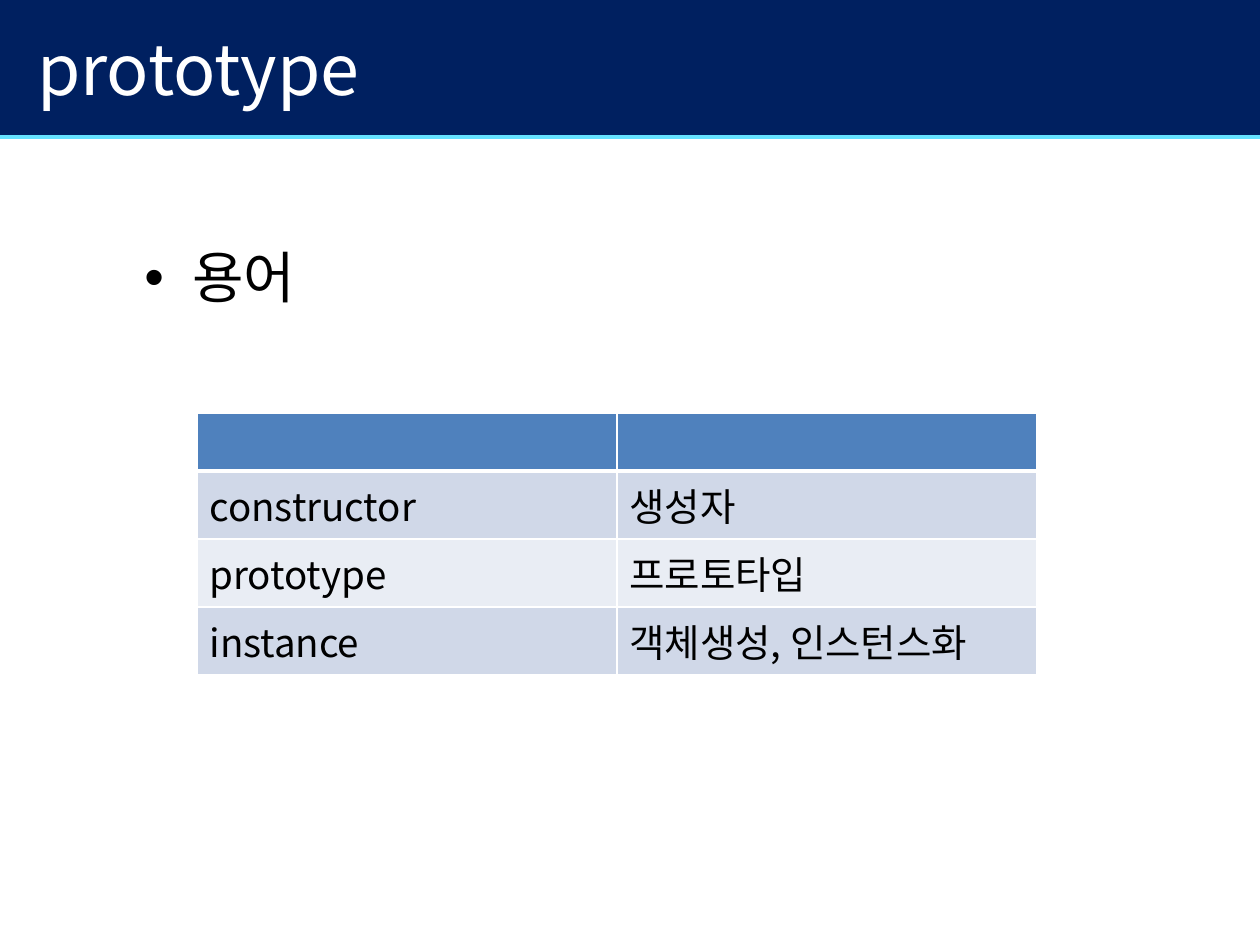
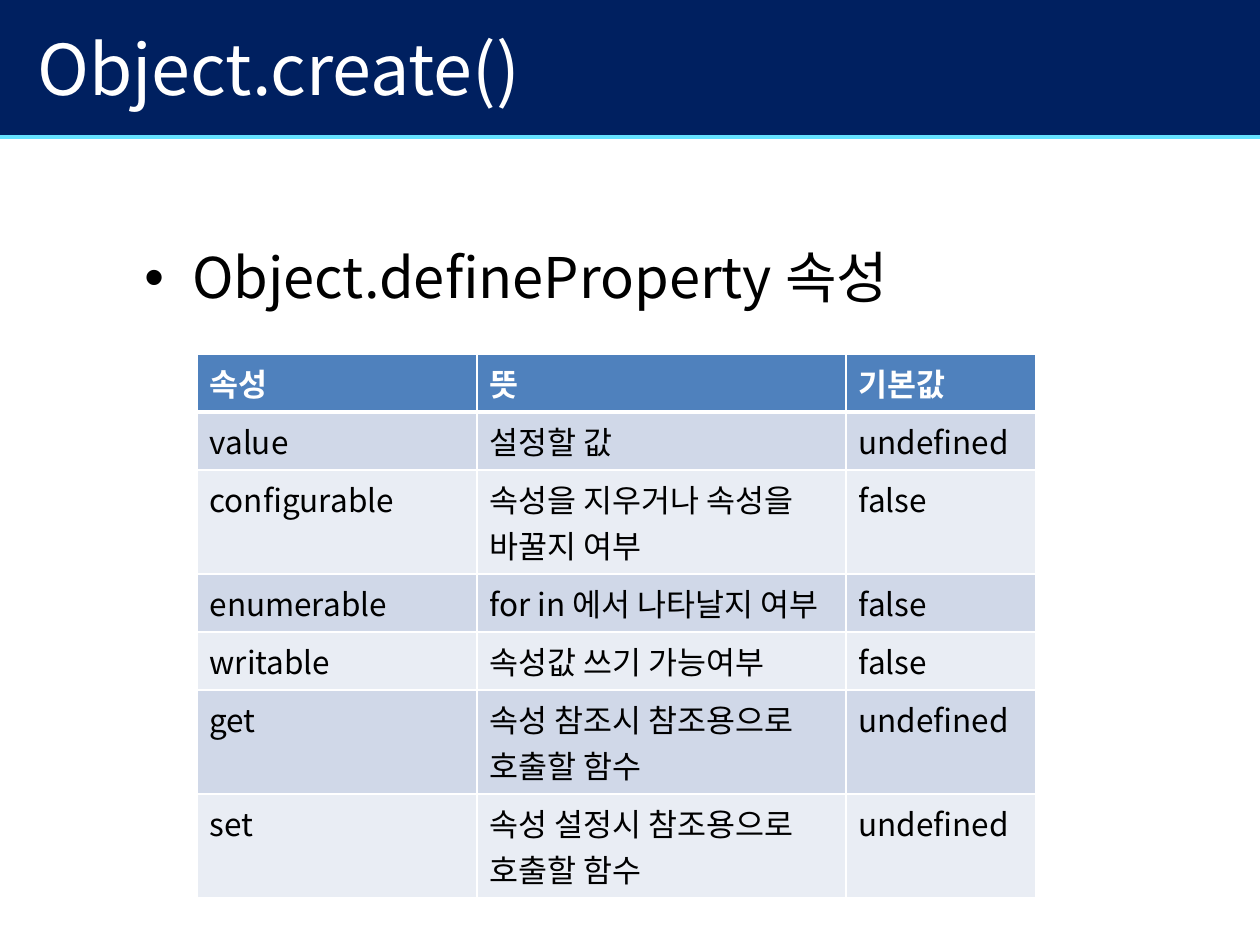
from pptx import Presentation
from pptx.dml.color import RGBColor
from pptx.enum.shapes import MSO_SHAPE
from pptx.enum.text import MSO_ANCHOR
from pptx.oxml.ns import qn
from pptx.util import Pt
from lxml import etree

SCALE = 914400 // 126
RECTANGLE = MSO_SHAPE.RECTANGLE
TOP, MIDDLE = MSO_ANCHOR.TOP, MSO_ANCHOR.MIDDLE

FONT = "Noto Sans CJK KR"
NAVY = RGBColor(0x00, 0x20, 0x60)
CYAN = RGBColor(0x65, 0xE2, 0xFF)
WHITE = RGBColor(0xFF, 0xFF, 0xFF)
BLACK = RGBColor(0x00, 0x00, 0x00)
HEADER_BLUE = RGBColor(0x4F, 0x81, 0xBD)
ROW_FILLS = (RGBColor(0xD0, 0xD8, 0xE8), RGBColor(0xE9, 0xED, 0xF4))

BAND_BOX = (-1, 0, 1261, 135)
TITLE_BOX = (25, -11, 1134, 157)
BODY_BOX = (132, 244, 995, 556)
TABLE_LEFT = 197
RULE_HEIGHT = 5
BULLET_INDENT = 48


def px(*lengths):
    """Turn pixel lengths into EMU."""
    return [round(length * SCALE) for length in lengths]


def write(frame, text, size=18, color=BLACK, bold=False, anchor=TOP):
    """Put one formatted paragraph in a text frame and return it."""
    frame.word_wrap = True
    frame.vertical_anchor = anchor
    para = frame.paragraphs[0]
    para.font.size = Pt(size)
    if text:
        span = para.add_run()
        span.text = text
        font = span.font
        font.name, font.size, font.bold = FONT, Pt(size), bold
        font.color.rgb = color
        latin = font._element.find(qn("a:latin"))
        latin.addnext(latin.makeelement(qn("a:ea"), {"typeface": FONT}))
    else:
        end = etree.SubElement(para._p, qn("a:endParaRPr"), sz=str(size * 100))
        for tag in ("a:latin", "a:ea"):
            etree.SubElement(end, qn(tag), typeface=FONT)
    return para


def add_bar(page, box, color):
    """Draw a plain filled rectangle."""
    bar = page.shapes.add_shape(RECTANGLE, *px(*box))
    bar.shadow.inherit = False
    bar.fill.solid()
    bar.fill.fore_color.rgb = color
    bar.line.fill.background()


def add_heading(page, box, title):
    """Draw the title band, the rule under it and the title."""
    left, top, width, height = box
    add_bar(page, (left, top + height - 1, width, RULE_HEIGHT), CYAN)
    add_bar(page, box, NAVY)
    frame = page.shapes.add_textbox(*px(*TITLE_BOX)).text_frame
    write(frame, title, size=40, color=WHITE, anchor=MIDDLE)


def add_bullet(page, box, text):
    """Write the bulleted line at the top of the body box."""
    frame = page.shapes.add_textbox(*px(*box)).text_frame
    para = write(frame, text, size=32)
    para.line_spacing = 0.9
    props = para._p.get_or_add_pPr()
    indent, = px(BULLET_INDENT)
    props.set("marL", str(indent))
    props.set("indent", str(-indent))
    bullet_font = props.makeelement(qn("a:buFont"), {"typeface": "Arial"})
    bullet = props.makeelement(qn("a:buChar"), {"char": "•"})
    props.find(qn("a:lnSpc")).addnext(bullet_font)
    bullet_font.addnext(bullet)


def set_borders(cell, top, bottom):
    """Give a cell white borders; top and bottom widths are in points."""
    props = cell._tc.get_or_add_tcPr()
    widths = (("a:lnL", 1), ("a:lnR", 1), ("a:lnT", top), ("a:lnB", bottom))
    for place, (tag, width) in enumerate(widths):
        line = props.makeelement(qn(tag), {"w": str(Pt(width))})
        fill = etree.SubElement(line, qn("a:solidFill"))
        etree.SubElement(fill, qn("a:srgbClr"), val=str(WHITE))
        props.insert(place, line)


def add_grid(page, top, widths, heights, rows, size):
    """Build a table with a blue header and alternating row fills."""
    box = (TABLE_LEFT, top, sum(widths), sum(heights))
    table = page.shapes.add_table(len(rows), len(widths), *px(*box)).table
    for column, width in zip(table.columns, px(*widths)):
        column.width = width
    for index, (row, height) in enumerate(zip(table.rows, px(*heights))):
        row.height = height
        header = index == 0
        for cell, text in zip(row.cells, rows[index]):
            cell.fill.solid()
            cell.fill.fore_color.rgb = HEADER_BLUE if header else ROW_FILLS[(index - 1) % 2]
            set_borders(cell, top=3 if index == 1 else 1, bottom=3 if header else 1)
            write(cell.text_frame, text, size=18 if header else size,
                  color=WHITE if header else BLACK, bold=header)


def add_page(deck, title, bullet, **grid):
    """Add a slide with a heading, a bulleted line and a table."""
    page = deck.slides.add_slide(deck.slide_layouts[6])
    add_heading(page, BAND_BOX, title)
    add_bullet(page, BODY_BOX, bullet)
    add_grid(page, **grid)


TERMS = [
    ("", ""),
    ("constructor", "생성자"),
    ("prototype", "프로토타입"),
    ("instance", "객체생성, 인스턴스화"),
]
PROPERTIES = [
    ("속성", "뜻", "기본값"),
    ("value", "설정할 값", "undefined"),
    ("configurable", "속성을 지우거나 속성을 바꿀지 여부", "false"),
    ("enumerable", "for in 에서 나타날지 여부", "false"),
    ("writable", "속성값 쓰기 가능여부", "false"),
    ("get", "속성 참조시 참조용으로 호출할 함수", "undefined"),
    ("set", "속성 설정시 참조용으로 호출할 함수", "undefined"),
]

deck = Presentation()
deck.slide_width, deck.slide_height = px(1260, 945)
add_page(deck, "prototype", "용어", top=413, widths=(420, 420),
         heights=(58, 68, 68, 68), rows=TERMS, size=22)
add_page(deck, "Object.create()", "Object.defineProperty 속성", top=354,
         widths=(280, 369, 190), heights=(58, 58, 104, 58, 58, 104, 104),
         rows=PROPERTIES, size=18)
deck.save("out.pptx")
